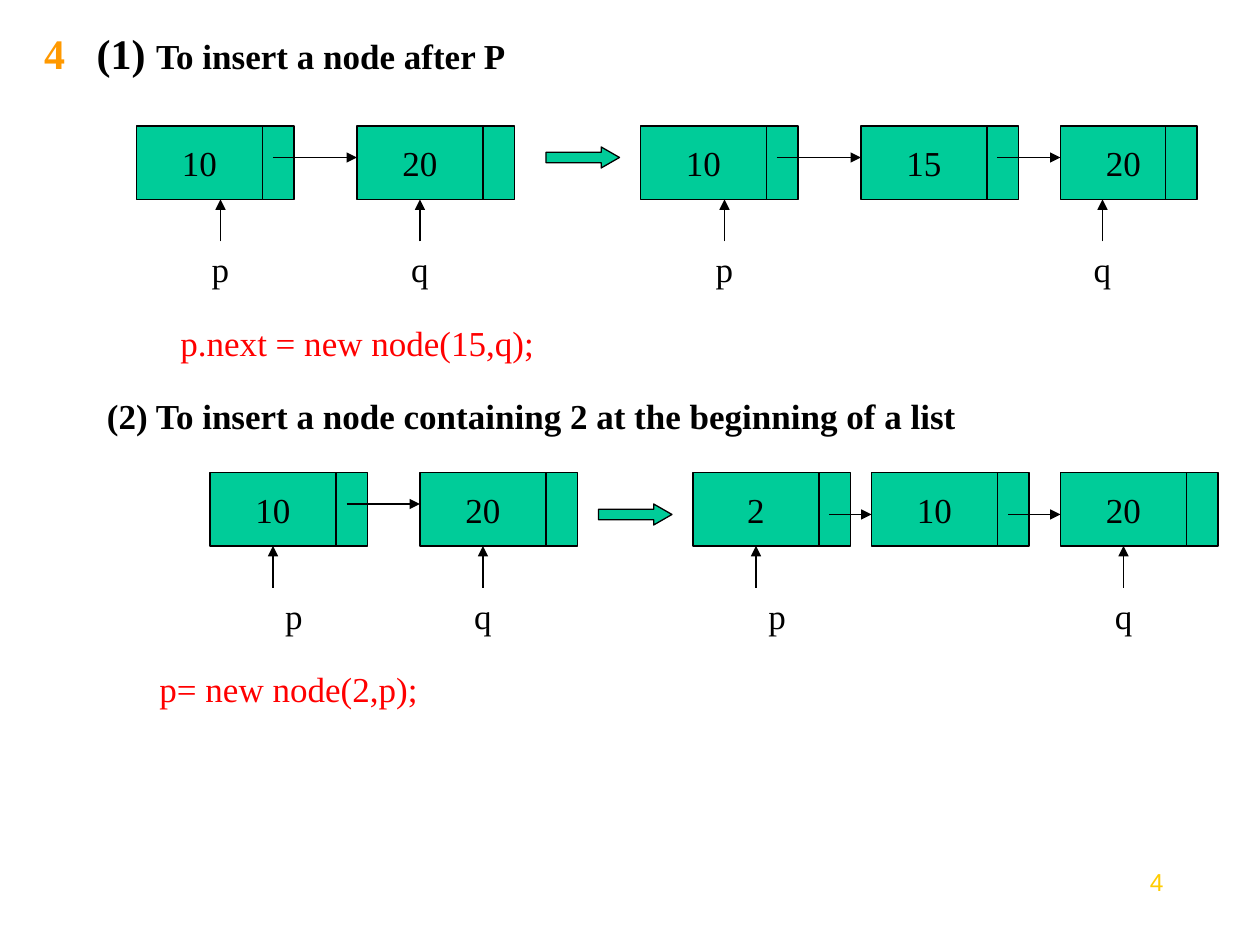
import pptx
import pptx.util
import pptx.dml.color
import pptx.enum.shapes
import pptx.enum.text
import pptx.oxml.ns
import lxml.etree

Pt = pptx.util.Pt
SHAPE = pptx.enum.shapes.MSO_SHAPE
ALIGN = pptx.enum.text.PP_ALIGN
ANCHOR = pptx.enum.text.MSO_ANCHOR
COLORS = {
    "ink": "000000",
    "node": "00CC99",
    "code": "FF0000",
    "bullet": "FF9900",
    "number": "FFCC00",
}
SERIF = "Times New Roman"
NODE_W, NODE_H, NEXT_W = 72, 42, 18
LABEL_W, LABEL_H, POINTER_H = 48, 32, 24


def rgb(name):
    return pptx.dml.color.RGBColor.from_string(COLORS[name])


class Canvas:
    def __init__(self, slide):
        self.slide = slide
        self.shapes = slide.shapes

    def font(self, font, color="ink", size=20, name=SERIF, bold=False):
        font.name = name
        font.size = Pt(size)
        font.bold = bold
        font.color.rgb = rgb(color)

    def title(self, x, y, w, h, indent, runs):
        sp = self.shapes.title
        sp.left, sp.top, sp.width, sp.height = Pt(x), Pt(y), Pt(w), Pt(h)
        tf = sp.text_frame
        tf.margin_left = Pt(13.2)
        tf.margin_top = tf.margin_bottom = 0
        tf.vertical_anchor = ANCHOR.MIDDLE
        p = tf.paragraphs[0]
        p.alignment = ALIGN.LEFT
        pPr = p._p.get_or_add_pPr()
        pPr.set("marL", str(Pt(indent)))
        pPr.set("indent", str(-Pt(indent)))
        for text, color, size in runs:
            r = p.add_run()
            r.text = text
            self.font(r.font, color, size, bold=True)

    def text(self, text, x, y, w, h=LABEL_H, align=ALIGN.LEFT, **style):
        sp = self.shapes.add_textbox(Pt(x), Pt(y), Pt(w), Pt(h))
        tf = sp.text_frame
        tf.word_wrap = True
        p = tf.paragraphs[0]
        p.text = text
        p.alignment = align
        self.font(p.font, **style)

    def shape(self, kind, x, y, w, h):
        sp = self.shapes.add_shape(kind, Pt(x), Pt(y), Pt(w), Pt(h))
        sp.shadow.inherit = False
        sp.fill.solid()
        sp.fill.fore_color.rgb = rgb("node")
        sp.line.color.rgb = rgb("ink")
        sp.line.width = Pt(0.75)
        return sp

    def node(self, value, x, y, next_offset=NODE_W):
        sp = self.shape(SHAPE.RECTANGLE, x, y, NODE_W, NODE_H)
        tf = sp.text_frame
        tf.word_wrap = False
        tf.vertical_anchor = ANCHOR.MIDDLE
        p = tf.paragraphs[0]
        p.text = value
        p.alignment = ALIGN.CENTER
        self.font(p.font)
        self.shape(SHAPE.RECTANGLE, x + next_offset, y, NEXT_W, NODE_H)

    def block_arrow(self, x, y):
        sp = self.shape(SHAPE.RIGHT_ARROW, x, y, 42, 12)
        sp.adjustments[0] = 0.5
        sp.adjustments[1] = 0.87

    def arrow(self, x1, y1, x2, y2):
        cx = self.shapes.add_connector(
            pptx.enum.shapes.MSO_CONNECTOR.STRAIGHT, Pt(x1), Pt(y1), Pt(x2), Pt(y2))
        cx.line.color.rgb = rgb("ink")
        cx.line.width = Pt(0.75)
        qn = pptx.oxml.ns.qn
        tail = lxml.etree.SubElement(cx.line._get_or_add_ln(), qn("a:tailEnd"))
        tail.set("type", "triangle")
        lxml.etree.SubElement(cx._element.spPr, qn("a:effectLst"))

    def pointer(self, name, x, node_y, label_x):
        bottom = node_y + NODE_H
        self.arrow(x, bottom + POINTER_H, x, bottom)
        self.text(name, label_x - LABEL_W / 2, bottom + POINTER_H, LABEL_W, align=ALIGN.CENTER)


def main():
    prs = pptx.Presentation()
    prs.slide_width, prs.slide_height = Pt(720), Pt(540)
    c = Canvas(prs.slides.add_slide(prs.slide_layouts[5]))

    c.title(12, 12, 612, 36, 30, [
        ("4\t", "bullet", 24),
        ("(1) ", "ink", 24),
        ("To insert a node after P", "ink", 20),
    ])
    c.text("(2) To insert a node containing 2 at the beginning of a list", 54, 222, 600, bold=True)
    c.text("p.next = new node(15,q);", 96, 180, 486, color="code")
    c.text("p= new node(2,p);", 84, 378, 450, color="code")
    c.text("4", 624, 492, 48, 37, ALIGN.RIGHT, color="number", size=14, name="Arial")

    after_y, front_y = 72, 270
    rows = [
        (after_y,
         [("10", 78), ("20", 204), ("10", 366), ("15", 492), ("20", 606, 60)],
         [("p", 126, 126), ("q", 240, 240), ("p", 414, 414), ("q", 630, 630)],
         [(156, 204, 18), (444, 492, 18), (570, 606, 18)]),
        (front_y,
         [("10", 120), ("20", 240), ("2", 396), ("10", 498), ("20", 606)],
         [("p", 156, 168), ("q", 276, 276), ("p", 432, 444), ("q", 642, 642)],
         [(198, 240, 18), (474, 498, 24), (576, 606, 24)]),
    ]
    for y, nodes, pointers, links in rows:
        for value, x, *next_offset in nodes:
            c.node(value, x, y, *next_offset)
        for name, x, label_x in pointers:
            c.pointer(name, x, y, label_x)
        for start, end, dy in links:
            c.arrow(start, y + dy, end, y + dy)
    c.block_arrow(312, after_y + 12)
    c.block_arrow(342, front_y + 18)

    prs.save("out.pptx")


if __name__ == "__main__":
    main()
